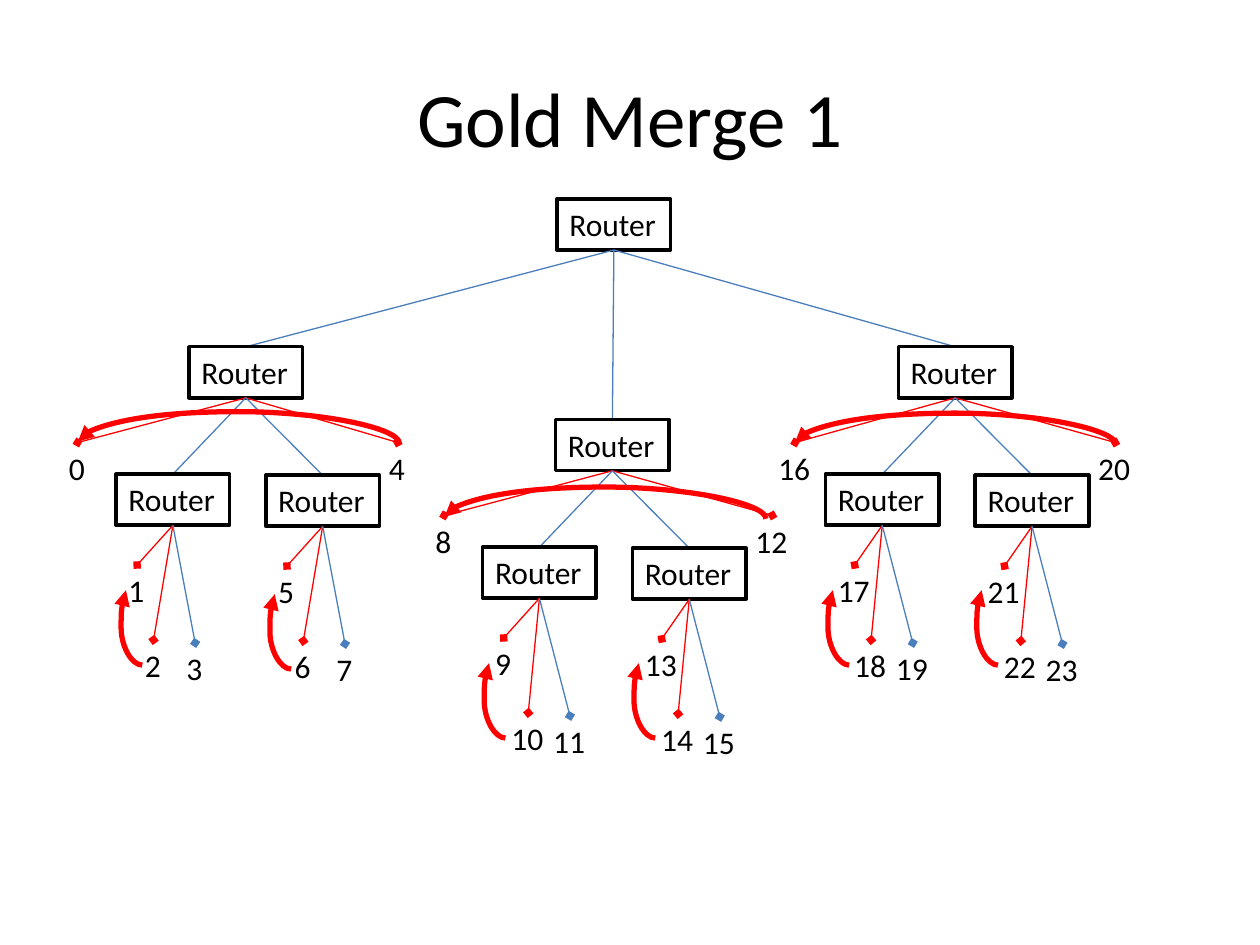
from typing import NamedTuple

from pptx import Presentation
from pptx.dml.color import RGBColor
from pptx.enum.shapes import MSO_CONNECTOR as Link, MSO_SHAPE
from pptx.enum.text import MSO_ANCHOR, MSO_AUTO_SIZE, PP_ALIGN
from pptx.oxml.ns import qn
from pptx.util import Cm, Pt
from lxml.etree import SubElement

BLACK = RGBColor(0x00, 0x00, 0x00)
WHITE = RGBColor(0xFF, 0xFF, 0xFF)
BLUE = RGBColor(0x4B, 0x7E, 0xBC)
RED = RGBColor(0xFF, 0x00, 0x00)
FONT = "Calibri"

# All lengths below are centimetres.
ROUTER_WIDTH, ROUTER_HEIGHT = 2.29, 1.03
LABEL_HEIGHT = 1.03
DIGIT_WIDTHS = {1: 0.85, 2: 1.18}
MERGE_SPAN, MERGE_DROP, MERGE_BEND = 6.48, 0.04, 16
PAIR_WIDTH, PAIR_HEIGHT, PAIR_BEND = 0.33, 1.51, 1.295


class Point(NamedTuple):
    x: float
    y: float

    def shifted(self, by: "Point") -> "Point":
        return Point(self.x + by.x, self.y + by.y)


class Leaf(NamedTuple):
    offset: Point
    color: RGBColor


class Subtree(NamedTuple):
    first: int
    router: Point
    merge_start: Point
    pair_starts: tuple[Point, Point]


ROOT = Point(11.23, 4.01)
SUBTREES = [
    Subtree(0, Point(3.81, 6.99), Point(8.05, 8.94),
            (Point(2.87, 13.41), Point(5.87, 13.49))),
    Subtree(16, Point(18.11, 6.99), Point(22.5, 8.97),
            (Point(17.12, 13.41), Point(20.12, 13.41))),
    Subtree(8, Point(11.2, 8.46), Point(15.44, 10.46),
            (Point(10.19, 14.88), Point(13.21, 14.88))),
]
# Each half of a subtree has one direct leaf and a router with three leaves.
HALVES = [(Point(-2.67, 1.93), Point(-1.47, 2.57)),
          (Point(3.78, 1.93), Point(1.55, 2.59))]
CHILD_LEAVES = [Leaf(Point(0, 1.83), RED),
                Leaf(Point(0.33, 3.34), RED),
                Leaf(Point(1.17, 3.4), BLUE)]


def write(shape, text: str) -> None:
    frame = shape.text_frame
    frame.word_wrap = False
    frame.auto_size = MSO_AUTO_SIZE.SHAPE_TO_FIT_TEXT
    frame.vertical_anchor = MSO_ANCHOR.TOP
    frame.text = text
    paragraph = frame.paragraphs[0]
    paragraph.alignment = PP_ALIGN.LEFT
    paragraph.font.name = FONT
    paragraph.font.size = Pt(18)
    paragraph.font.color.rgb = BLACK


def draw_router(shapes, at: Point) -> None:
    router = shapes.add_shape(MSO_SHAPE.RECTANGLE, Cm(at.x), Cm(at.y),
                              Cm(ROUTER_WIDTH), Cm(ROUTER_HEIGHT))
    router.shadow.inherit = False
    router.fill.solid()
    router.fill.fore_color.rgb = WHITE
    router.line.color.rgb = BLACK
    router.line.width = Pt(2)
    write(router, "Router")


def top_of(router: Point) -> Point:
    return router.shifted(Point(ROUTER_WIDTH / 2, 0))


def bottom_of(router: Point) -> Point:
    return router.shifted(Point(ROUTER_WIDTH / 2, ROUTER_HEIGHT))


def draw_link(shapes, start: Point, end: Point, color: RGBColor, head: str = "",
              kind=Link.STRAIGHT, width: float = 0.75):
    link = shapes.add_connector(kind, Cm(start.x), Cm(start.y), Cm(end.x), Cm(end.y))
    link.line.color.rgb = color
    link.line.width = Pt(width)
    properties = link._element.spPr
    if head:
        SubElement(properties.find(qn("a:ln")), qn("a:tailEnd"), type=head)
    SubElement(properties, qn("a:effectLst"))
    return link


def draw_arc(shapes, start: Point, end: Point, bend: float, turn: int = 0) -> None:
    """Draw a thick curved arrow; bend is a multiple of its width, turn is in degrees."""
    arc = draw_link(shapes, start, end, RED, "triangle", Link.CURVE, 3)
    properties = arc._element.spPr
    if turn:
        properties.find(qn("a:xfrm")).set("rot", str(turn * 60000))
    geometry = properties.find(qn("a:prstGeom"))
    guides = geometry.find(qn("a:avLst"))
    if guides is None:
        guides = SubElement(geometry, qn("a:avLst"))
    SubElement(guides, qn("a:gd"), name="adj1", fmla=f"val {round(bend * 100000)}")


def draw_leaf(shapes, parent: Point, leaf: Leaf, number: int) -> None:
    at = parent.shifted(leaf.offset)
    width = DIGIT_WIDTHS[len(str(number))]
    label = shapes.add_textbox(Cm(at.x), Cm(at.y), Cm(width), Cm(LABEL_HEIGHT))
    write(label, str(number))
    draw_link(shapes, bottom_of(parent), at.shifted(Point(width / 2, 0)),
              leaf.color, "diamond")


def draw_subtree(shapes, tree: Subtree) -> None:
    draw_link(shapes, bottom_of(ROOT), top_of(tree.router), BLUE)
    draw_router(shapes, tree.router)
    for half, (leaf_offset, child_offset) in enumerate(HALVES):
        number = tree.first + 4 * half
        child = tree.router.shifted(child_offset)
        draw_leaf(shapes, tree.router, Leaf(leaf_offset, RED), number)
        draw_link(shapes, bottom_of(tree.router), top_of(child), BLUE)
        draw_router(shapes, child)
        for step, leaf in enumerate(CHILD_LEAVES, start=1):
            draw_leaf(shapes, child, leaf, number + step)


def draw_merges(shapes, tree: Subtree) -> None:
    # The wide arc is a tall, thin connector turned onto its side.
    middle = tree.merge_start.shifted(Point(-MERGE_SPAN / 2, -MERGE_DROP / 2))
    draw_arc(shapes, middle.shifted(Point(-MERGE_DROP / 2, MERGE_SPAN / 2)),
             middle.shifted(Point(MERGE_DROP / 2, -MERGE_SPAN / 2)), MERGE_BEND, 270)
    for start in tree.pair_starts:
        draw_arc(shapes, start, start.shifted(Point(-PAIR_WIDTH, -PAIR_HEIGHT)), PAIR_BEND)


def main() -> None:
    deck = Presentation()
    deck.slide_width, deck.slide_height = Cm(25.4), Cm(19.05)
    slide = deck.slides.add_slide(deck.slide_layouts[5])
    heading = slide.shapes.title
    heading.left, heading.top = Cm(1.27), Cm(0.76)
    heading.width, heading.height = Cm(22.86), Cm(3.18)
    heading.text_frame.text = "Gold Merge 1"
    heading.text_frame.vertical_anchor = MSO_ANCHOR.MIDDLE
    title = heading.text_frame.paragraphs[0]
    title.alignment = PP_ALIGN.CENTER
    title.font.name = FONT
    title.font.size = Pt(44)
    title.font.color.rgb = BLACK

    draw_router(slide.shapes, ROOT)
    for tree in SUBTREES:
        draw_subtree(slide.shapes, tree)
    for tree in SUBTREES:
        draw_merges(slide.shapes, tree)
    deck.save("out.pptx")


if __name__ == "__main__":
    main()
